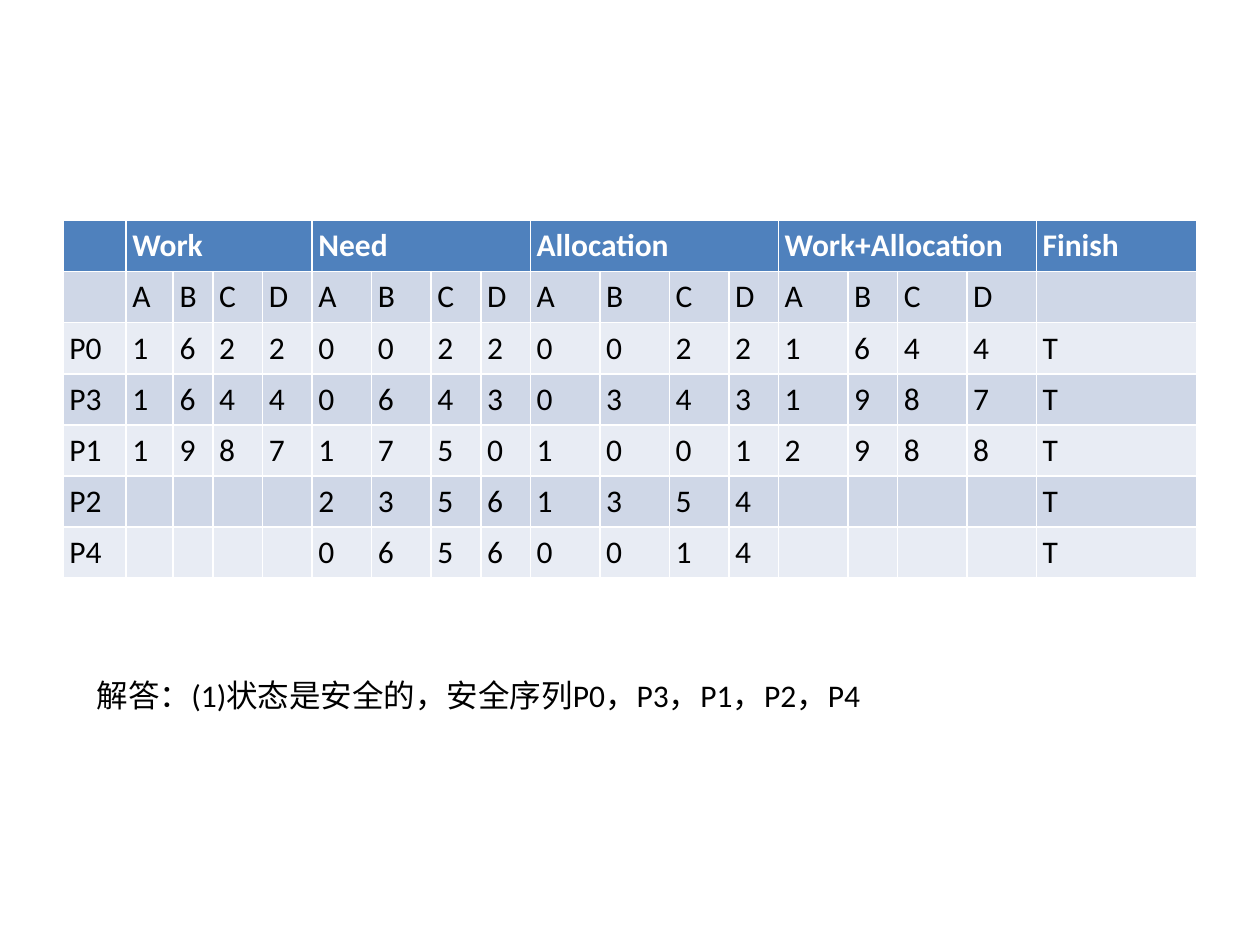
from pptx import Presentation
from pptx.dml.color import RGBColor
from pptx.enum.text import MSO_AUTO_SIZE
from pptx.oxml.ns import qn
from pptx.util import Pt
from lxml.etree import SubElement

COLORS = {"header": "4F81BD", "odd": "CFD7E7", "even": "E8ECF4",
          "white": "FFFFFF", "black": "000000"}
LATIN, CHINESE = "Calibri", "Roboto"
INSET = Pt(3.6)
MARGINS = {f"margin_{side}": INSET for side in ("left", "top", "right", "bottom")}

GROUPS = ["Work", "Need", "Allocation", "Work+Allocation"]
RESOURCES = "ABCD"
# process, then one four-digit string per group, then finish
PROCESSES = [
    ("P0", "1622", "0022", "0022", "1644", "T"),
    ("P3", "1644", "0643", "0343", "1987", "T"),
    ("P1", "1987", "1750", "1001", "2988", "T"),
    ("P2", "", "2356", "1354", "", "T"),
    ("P4", "", "0656", "0014", "", "T"),
]
ANSWER = [("解答：", CHINESE), ("(1)", LATIN), ("状态是安全的，安全序列", CHINESE),
          ("P0", LATIN), ("，", CHINESE), ("P3", LATIN), ("，", CHINESE),
          ("P1", LATIN), ("，", CHINESE), ("P2", LATIN), ("，", CHINESE), ("P4", LATIN)]

NARROW, MEDIUM, WIDE = 28.35, 34.02, 39.69
COLUMN_WIDTHS = [36, 27, 22.7, NARROW, NARROW,
                 MEDIUM, MEDIUM, NARROW, NARROW,
                 WIDE, WIDE, MEDIUM, NARROW,
                 WIDE, NARROW, WIDE, WIDE, 91.7]
ROW_HEIGHT = 29.2
TABLE_LEFT, TABLE_TOP = 36, 126


def set_attributes(target, values):
    """Set each named attribute of target."""
    for name, value in values.items():
        setattr(target, name, value)


def format_font(font, color, typeface=LATIN, bold=False):
    """Give a font its typeface, size, weight and colour."""
    set_attributes(font, {"name": typeface, "size": Pt(18), "bold": bold})
    font.color.rgb = RGBColor.from_string(COLORS[color])


def fill_cell(cell, text, fill, color="black", bold=False):
    """Write one table cell with its fill and font."""
    set_attributes(cell, MARGINS)
    cell.fill.solid()
    cell.fill.fore_color.rgb = RGBColor.from_string(COLORS[fill])
    paragraph = cell.text_frame.paragraphs[0]
    format_font(paragraph.font, color, bold=bold)
    if text:
        run = paragraph.add_run()
        run.text = text
        format_font(run.font, color, bold=bold)


def table_rows():
    """Expand the content into full rows of eighteen cells."""
    span = len(RESOURCES)
    header = [""] + [name if i == 0 else "" for name in GROUPS for i in range(span)]
    yield header + ["Finish"]
    yield ["", *(RESOURCES * len(GROUPS)), ""]
    for process, *groups, finish in PROCESSES:
        yield [process, *"".join(digits.ljust(span) for digits in groups), finish]


def add_safety_table(slide):
    """Add the table of the safety check."""
    rows = list(table_rows())
    table = slide.shapes.add_table(
        len(rows), len(COLUMN_WIDTHS), Pt(TABLE_LEFT), Pt(TABLE_TOP),
        Pt(sum(COLUMN_WIDTHS)), Pt(ROW_HEIGHT * len(rows))).table
    for column, width in zip(table.columns, COLUMN_WIDTHS):
        column.width = Pt(width)
    for r, values in enumerate(rows):
        table.rows[r].height = Pt(ROW_HEIGHT)
        for c, value in enumerate(values):
            if r == 0:
                fill_cell(table.cell(r, c), value, "header", "white", True)
            else:
                fill_cell(table.cell(r, c), value.strip(), "odd" if r % 2 else "even")
    for group in range(len(GROUPS)):
        first = 1 + group * len(RESOURCES)
        table.cell(0, first).merge(table.cell(0, first + len(RESOURCES) - 1))


def add_answer(slide):
    """Add the answer below the table."""
    frame = slide.shapes.add_textbox(Pt(51.8), Pt(383), Pt(444.2), Pt(32.4)).text_frame
    set_attributes(frame, {**MARGINS, "word_wrap": True,
                           "auto_size": MSO_AUTO_SIZE.SHAPE_TO_FIT_TEXT})
    for text, typeface in ANSWER:
        run = frame.paragraphs[0].add_run()
        run.text = text
        format_font(run.font, "black", typeface)
        if typeface == CHINESE:
            properties = run._r.get_or_add_rPr()
            SubElement(properties, qn("a:ea")).set("typeface", typeface)


presentation = Presentation()
set_attributes(presentation, {"slide_width": Pt(720), "slide_height": Pt(540)})
slide = presentation.slides.add_slide(presentation.slide_layouts[6])
add_safety_table(slide)
add_answer(slide)
presentation.save("out.pptx")
